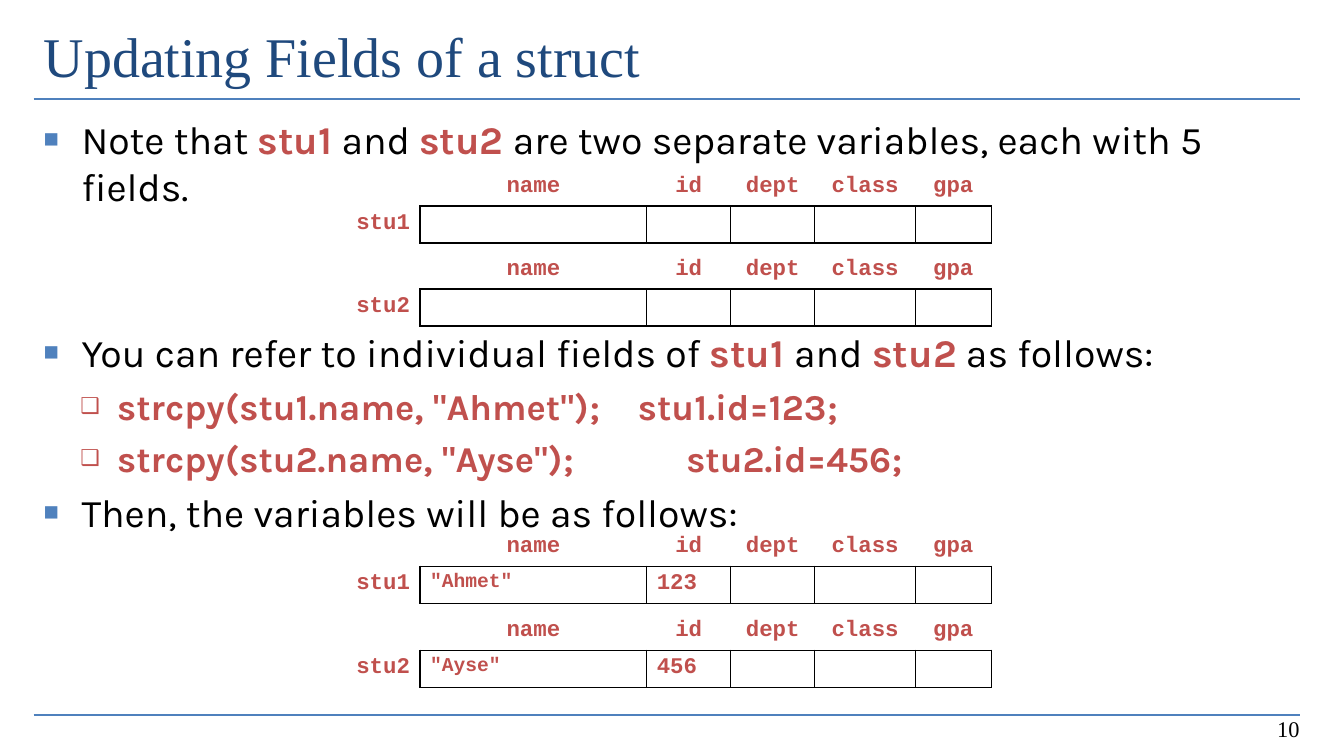
"""Build the slide on updating the fields of a struct."""
from lxml.etree import SubElement
from pptx import Presentation
from pptx.dml.color import RGBColor
from pptx.enum.shapes import MSO_CONNECTOR
from pptx.enum.text import MSO_ANCHOR, MSO_AUTO_SIZE, PP_ALIGN
from pptx.oxml import parse_xml
from pptx.oxml.ns import nsdecls, qn
from pptx.util import Emu, Pt

TITLE = "Updating Fields of a struct"
NUMBER = "10"
# Level, space before in points, tab stop in px, text with *bold red* parts
BODY = [
    (0, 0, None, "Note that *stu1* and *stu2* are two separate variables, each with 5 fields."),
    (0, 85, None, "You can refer to individual fields of *stu1 *and* stu2* as follows:"),
    (1, 6, 566, '*strcpy(stu1.name, "Ahmet");\tstu1.id=123;*'),
    (1, 6, 612, '*strcpy(stu2.name, "Ayse");\tstu2.id=456;*'),
    (0, 6, None, "Then, the variables will be as follows:"),
]
LEVELS = [
    dict(mar=36, hang=36, mark="■", tint="4F81BD", pct=65, size=28),
    dict(mar=70, hang=35, mark="❑", tint="C0504D", pct=60, size=26),
]
FIELDS = ["", "name", "id", "dept", "class", "gpa"]
WIDTHS = [80, 216, 80, 80, 96, 72]
TABLES = [
    (161, ["stu1", "", "", "", "", ""]),
    (240, ["stu2", "", "", "", "", ""]),
    (504, ["stu1", '"Ahmet"', "123", "", "", ""]),
    (584, ["stu2", '"Ayse"', "456", "", "", ""]),
]
LEFT, WIDE, ROW = 32, 1206, 35
RED, BLUE, NAVY, BLACK = "C0504D", "4F81BD", "1F497D", "000000"


def px(num):
    return Emu(num * 9525)


def tone(code):
    return RGBColor.from_string(code)


def style(font, face, size, color, bold=False):
    font.name, font.size, font.bold = face, Pt(size), bold
    font.color.rgb = tone(color)


def place(shape, *box):
    shape.left, shape.top, shape.width, shape.height = map(px, box)


def rule(slide, top):
    line = slide.shapes.add_connector(
        MSO_CONNECTOR.STRAIGHT, px(LEFT), px(top), px(LEFT + WIDE), px(top))
    line.line.color.rgb = tone(BLUE)
    line.line.width = Pt(1.5)
    SubElement(line._element.spPr, qn("a:effectLst"))


def bullet(para, look, stop):
    props = para._p.get_or_add_pPr()
    props.set("marL", str(px(look["mar"])))
    props.set("indent", str(px(-look["hang"])))
    color = SubElement(props, qn("a:buClr"))
    SubElement(color, qn("a:srgbClr"), val=look["tint"])
    SubElement(props, qn("a:buSzPct"), val=str(look["pct"] * 1000))
    SubElement(props, qn("a:buChar"), char=look["mark"])
    if stop:
        tabs = SubElement(props, qn("a:tabLst"))
        SubElement(tabs, qn("a:tab"), pos=str(px(stop)), algn="l")


def fill_body(frame):
    frame.auto_size = MSO_AUTO_SIZE.NONE
    frame.vertical_anchor = MSO_ANCHOR.TOP
    for num, (level, gap, stop, text) in enumerate(BODY):
        para = frame.add_paragraph() if num else frame.paragraphs[0]
        look = LEVELS[level]
        para.level = level
        bullet(para, look, stop)
        para.space_before = Pt(gap)
        for part, words in enumerate(text.split("*")):
            if words:
                run = para.add_run()
                run.text = words
                bold = part % 2 == 1
                style(run.font, "Karla", look["size"], RED if bold else BLACK, bold)


def border(cell, sides):
    props = cell._tc.get_or_add_tcPr()
    for spot, side in enumerate("LRTB"):
        paint = f'<a:solidFill><a:srgbClr val="{BLACK}"/></a:solidFill>'
        ink = paint if side in sides else "<a:noFill/>"
        props.insert(spot, parse_xml(
            f'<a:ln{side} {nsdecls("a")} w="12700">{ink}</a:ln{side}>'))


def fill_cell(cell, text, row, col):
    cell.fill.background()
    if row and col:
        border(cell, "LRTB")
    elif row:
        border(cell, "R")
    else:
        border(cell, "B" if col else "")
    if not text:
        cell.margin_top = cell.margin_bottom = 0
        return
    cell.text_frame.text = text
    para = cell.text_frame.paragraphs[0]
    if not row:
        para.alignment = PP_ALIGN.CENTER
    elif not col:
        para.alignment = PP_ALIGN.RIGHT
    size = 14 if row and col == 1 else 16
    style(para.runs[0].font, "Courier New", size, RED, True)


def add_grid(slide, top, values):
    frame = slide.shapes.add_table(
        2, len(FIELDS), px(320), px(top), px(sum(WIDTHS)), px(2 * ROW))
    table = frame.table
    table.first_row = table.horz_banding = False
    for col, wide in enumerate(WIDTHS):
        table.columns[col].width = px(wide)
    for row, texts in enumerate([FIELDS, values]):
        table.rows[row].height = px(ROW)
        for col, text in enumerate(texts):
            fill_cell(table.cell(row, col), text, row, col)


def main():
    deck = Presentation()
    deck.slide_width, deck.slide_height = px(1280), px(720)
    slide = deck.slides.add_slide(deck.slide_layouts[1])
    for top in (681, 94):
        rule(slide, top)

    title, body = slide.placeholders
    place(title, LEFT, 16, WIDE, 112)
    frame = title.text_frame
    frame.text = TITLE
    frame.auto_size = MSO_AUTO_SIZE.NONE
    frame.vertical_anchor = MSO_ANCHOR.TOP
    frame.paragraphs[0].alignment = PP_ALIGN.LEFT
    style(frame.paragraphs[0].runs[0].font, "Times New Roman", 40, NAVY)

    place(body, LEFT, 105, WIDE, 592)
    fill_body(body.text_frame)

    box = slide.shapes.add_textbox(px(948), px(663), px(299), px(48))
    frame = box.text_frame
    frame.word_wrap = True
    frame.vertical_anchor = MSO_ANCHOR.BOTTOM
    frame.text = NUMBER
    frame.paragraphs[0].alignment = PP_ALIGN.RIGHT
    style(frame.paragraphs[0].runs[0].font, "Times New Roman", 16, BLACK)

    for top, values in TABLES:
        add_grid(slide, top, values)
    deck.save("out.pptx")


if __name__ == "__main__":
    main()
